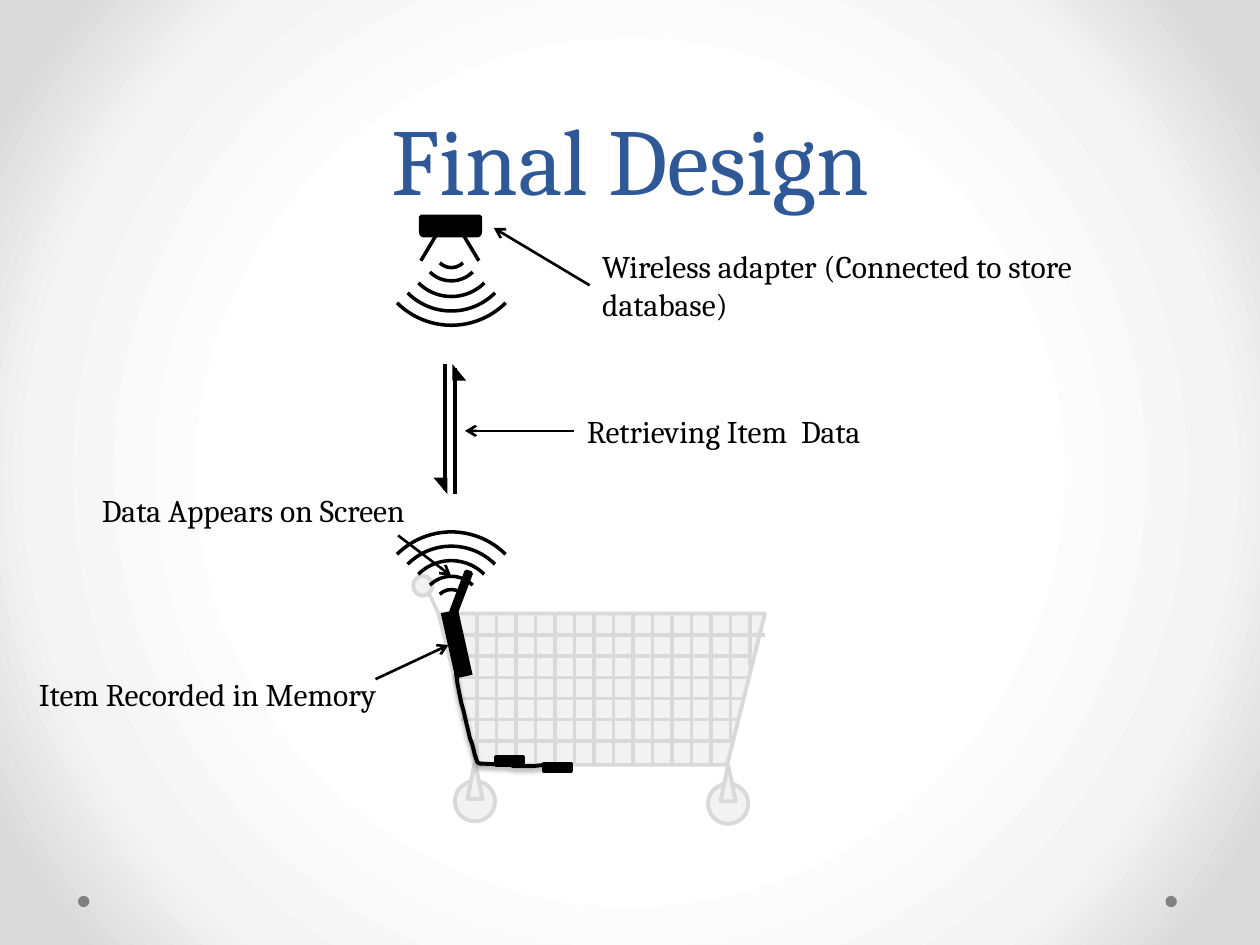
from lxml.etree import SubElement
from pptx import Presentation
from pptx.dml.color import RGBColor
from pptx.enum.shapes import MSO_CONNECTOR, MSO_SHAPE as SHAPE
from pptx.enum.text import MSO_ANCHOR, MSO_AUTO_SIZE, PP_ALIGN
from pptx.oxml.ns import qn
from pptx.util import Pt

FONT = "Cambria"
BLACK, BLUE, DOT_GREY = "000000", "2F5897", "808080"
CART_FILL, CART_LINE = "F2F2F2", "D9D9D9"
WAVE_SIZES = [87.8, 70.6, 53.3, 34.6, 18.7]
CABLE = [(311.8, 437), (304.6, 437.8), (293.8, 437.8), (290.9, 437), (274.3, 436.3),
         (272.9, 435.6), (271.4, 431.3), (270, 425.5), (268.6, 421.9), (267.1, 415.4),
         (266.4, 412.6), (265, 406.4), (263.5, 401), (262.8, 397.4), (261.4, 390.2),
         (260.6, 383.8)]
ROW_SPANS = [(254.2, 437), (255.6, 428.4), (261.4, 428.4),
             (262.8, 425.5), (263.5, 421.9), (270, 417.6)]


def rgb(color):
    return RGBColor.from_string(color)


def style_outline(line, color, width):
    line.color.rgb = rgb(color)
    line.width = Pt(width)


def add_background(slide):
    slide.background.fill.gradient()
    gradient = slide.element.find(".//" + qn("a:gradFill"))
    for child in list(gradient):
        gradient.remove(child)
    stops = SubElement(gradient, qn("a:gsLst"))
    for position, color in [(50, "FFFFFF"), (76, "F4F4F4"), (92, "DADADA")]:
        stop = SubElement(stops, qn("a:gs"), pos=str(position * 1000))
        SubElement(stop, qn("a:srgbClr"), val=color)
    path = SubElement(gradient, qn("a:path"), {"path": "circle"})
    SubElement(path, qn("a:fillToRect"), l="50000", t="50000", r="50000", b="50000")


def add_part(shapes, kind, box, fill=None, outline=None, width=2.25, rotation=0):
    part = shapes.add_shape(kind, *map(Pt, box))
    part.shadow.inherit = False
    part.rotation = rotation
    if fill:
        part.fill.solid()
        part.fill.fore_color.rgb = rgb(fill)
    else:
        part.fill.background()
    if outline:
        style_outline(part.line, outline, width)
    else:
        part.line.fill.background()
    return part


def add_line(shapes, start, end, color=BLACK, width=2.0, arrow=False):
    line = shapes.add_connector(MSO_CONNECTOR.STRAIGHT, *map(Pt, start + end))
    style_outline(line.line, color, width)
    properties = line.element.spPr
    if arrow:
        SubElement(properties.find(qn("a:ln")), qn("a:tailEnd"), type="arrow")
    SubElement(properties, qn("a:effectLst"))
    return line


def format_text(frame, text, size, color):
    frame.text = text
    frame.word_wrap = True
    font = frame.paragraphs[0].runs[0].font
    font.name, font.size = FONT, Pt(size)
    font.color.rgb = rgb(color)


def add_title(slide, text):
    title = slide.shapes.title
    title.left, title.top, title.width, title.height = map(Pt, (36, 0, 648, 126))
    frame = title.text_frame
    format_text(frame, text, 54, BLUE)
    frame.auto_size = MSO_AUTO_SIZE.NONE
    frame.vertical_anchor = MSO_ANCHOR.BOTTOM
    frame.paragraphs[0].alignment = PP_ALIGN.CENTER
    frame.paragraphs[0].line_spacing = Pt(58)


def add_label(slide, text, left, top, height, start, end, joined=False):
    label = slide.shapes.add_textbox(Pt(left), Pt(top), Pt(283.7), Pt(height))
    format_text(label.text_frame, text, 18, BLACK)
    pointer = add_line(slide.shapes, start, end, width=1.5, arrow=True)
    if joined:
        pointer.begin_connect(label, 1)


def add_cart(slide):
    cart = slide.shapes.add_group_shape().shapes

    def add_cart_part(kind, box, rotation=0):
        add_part(cart, kind, box, CART_FILL, CART_LINE, rotation=rotation)

    add_cart_part(SHAPE.OVAL, (259.9, 446.4, 23, 23))
    add_cart_part(SHAPE.ISOSCELES_TRIANGLE, (267.1, 435.6, 8.6, 20.9))
    add_cart_part(SHAPE.TRAPEZOID, (250.6, 350.6, 186.5, 86.4), rotation=180)
    column_ends = [396.7] + [437] * 13 + [422.6, 380.9]
    for column, bottom in enumerate(column_ends):
        x = 261.4 + 11.14 * column
        add_line(cart, (x, bottom), (x, 350.6), CART_LINE)
    for row, (left, right) in enumerate(ROW_SPANS):
        y = 362.9 + 12.1 * row
        add_line(cart, (left, y), (right, y), CART_LINE)
    add_line(cart, (250.6, 350.6), (244.1, 337), CART_LINE)
    add_cart_part(SHAPE.OVAL, (236.2, 329, 10.8, 11.5))
    add_cart_part(SHAPE.ISOSCELES_TRIANGLE, (267.1, 435.6, 8.6, 20.9))
    add_cart_part(SHAPE.OVAL, (404.6, 447.8, 23, 23))
    add_cart_part(SHAPE.ISOSCELES_TRIANGLE, (411.8, 437, 8.6, 20.9))


def add_scanner(slide):
    scanner = slide.shapes.add_group_shape().shapes
    add_part(scanner, SHAPE.RECTANGLE, (241.9, 362.9, 38.2, 10.1), BLACK, rotation=257.4)
    for left, top in [(283.7, 432.7), (311, 436.3)]:
        add_part(scanner, SHAPE.RECTANGLE, (left, top, 15.1, 4.3), BLACK, BLACK)
    points = [(Pt(x), Pt(y)) for x, y in CABLE]
    builder = scanner.build_freeform(*points[0])
    builder.add_line_segments(points[1:], close=False)
    cable = builder.convert_to_shape()
    cable.fill.background()
    style_outline(cable.line, BLACK, 2.25)
    cable.shadow.inherit = False
    effects = cable.element.spPr.find(qn("a:effectLst"))
    shadow = SubElement(effects, qn("a:outerShdw"), blurRad=str(Pt(3.1)),
                        dist=str(Pt(1.6)), dir="5400000")
    shade = SubElement(shadow, qn("a:srgbClr"), val=BLACK)
    SubElement(shade, qn("a:alpha"), val="38000")
    add_part(scanner, SHAPE.RECTANGLE, (251.3, 337, 24.5, 2.9), BLACK, BLACK, rotation=290.8)


def add_adapter(slide):
    adapter = slide.shapes.add_group_shape().shapes
    add_part(adapter, SHAPE.ROUND_2_SAME_RECTANGLE, (240.5, 123.8, 33.8, 10.8),
             BLACK, BLACK, rotation=180)
    add_line(adapter, (249.1, 134.6), (240.5, 149))
    add_line(adapter, (265, 134.6), (273.6, 149))


def add_waves(slide, center_y, drift, rotation):
    waves = slide.shapes.add_group_shape().shapes
    for step, size in enumerate(WAVE_SIZES):
        box = (257.9 - size / 2, center_y + drift * step - size / 2, size, size)
        add_part(waves, SHAPE.ARC, box, outline=BLACK, width=2, rotation=rotation)


def add_data_arrow(slide, x, start_y, end_y, head_left, head_top, rotation):
    arrow = slide.shapes.add_group_shape().shapes
    add_line(arrow, (x, start_y), (x, end_y))
    add_part(arrow, SHAPE.RIGHT_TRIANGLE, (head_left, head_top, 7.9, 9.4),
             BLACK, rotation=rotation)


def main():
    deck = Presentation()
    deck.slide_width, deck.slide_height = Pt(720), Pt(540)
    slide = deck.slides.add_slide(deck.slide_layouts[5])
    add_background(slide)
    for left in (666, 44.6):
        add_part(slide.shapes, SHAPE.OVAL, (left, 511.9, 6.5, 6.5), DOT_GREY)
    add_title(slide, "Final Design")
    add_cart(slide)
    add_scanner(slide)
    add_adapter(slide)
    add_waves(slide, 142, 0.4, 135)
    add_waves(slide, 347.8, -0.4, 315)
    add_data_arrow(slide, 254.2, 208.1, 280.1, 247.7, 272.9, 180)
    add_data_arrow(slide, 259.9, 282.2, 210.2, 258.5, 208.1, 0)
    add_label(slide, "Wireless adapter (Connected to store database)",
              337, 137.5, 51.1, (337, 163), (282.2, 130.3), joined=True)
    add_label(slide, "Retrieving Item  Data",
              328.3, 231.8, 28.8, (328.3, 246.2), (265.7, 246.2), joined=True)
    add_label(slide, "Data Appears on Screen",
              51.1, 277.2, 28.8, (227.5, 306), (257.8, 329))
    add_label(slide, "Item Recorded in Memory",
              15.1, 382.3, 28.8, (214.6, 388.1), (256.3, 368.6))
    deck.save("out.pptx")


if __name__ == "__main__":
    main()
